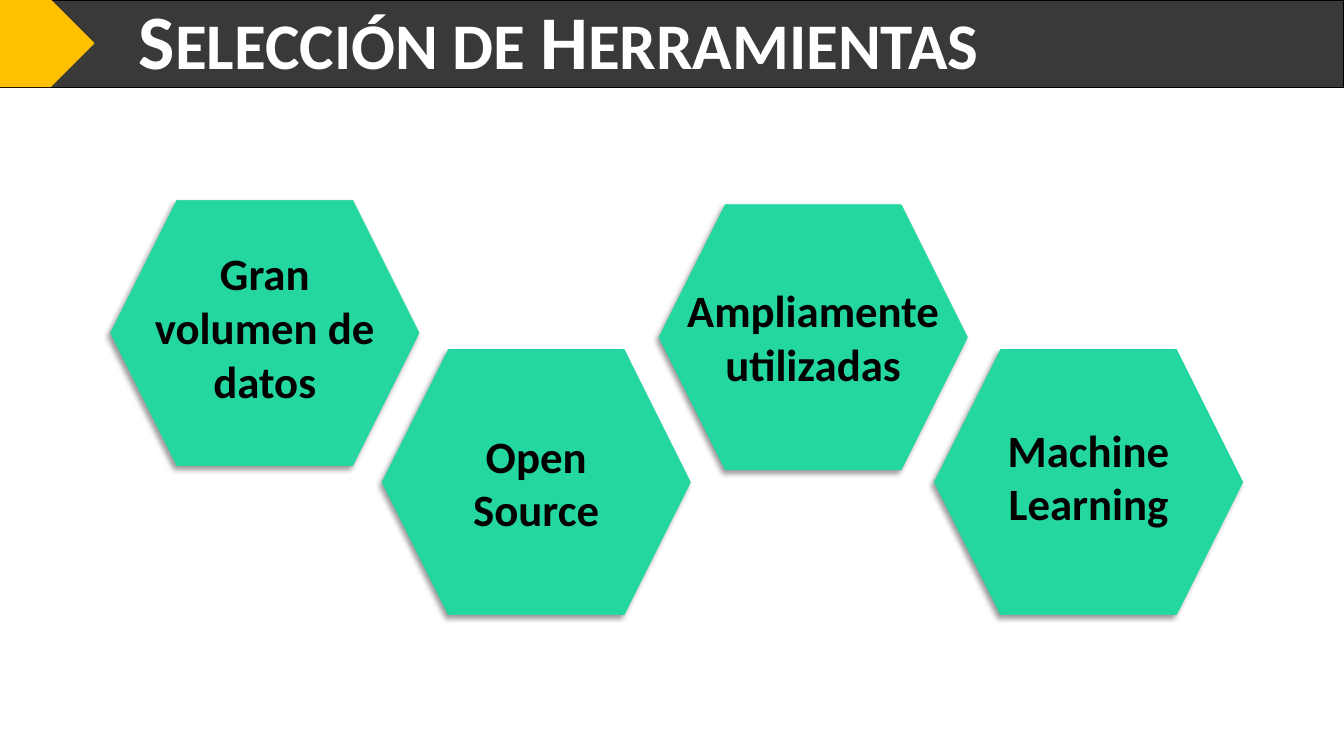
"""Build the slide on tool selection criteria."""
import pptx
import pptx.util
import pptx.dml.color
import pptx.enum.shapes
import pptx.enum.text
import pptx.oxml
import pptx.oxml.ns

Cm = pptx.util.Cm
Pt = pptx.util.Pt
MSO_SHAPE = pptx.enum.shapes.MSO_SHAPE
PP_ALIGN = pptx.enum.text.PP_ALIGN
MSO_ANCHOR = pptx.enum.text.MSO_ANCHOR
MSO_AUTO_SIZE = pptx.enum.text.MSO_AUTO_SIZE


def paint(s, fill, line, width):
    s.fill.solid()
    s.fill.fore_color.rgb = pptx.dml.color.RGBColor.from_string(fill)
    s.line.color.rgb = pptx.dml.color.RGBColor.from_string(line)
    s.line.width = Pt(width)


def add_run(p, text, size, color):
    r = p.add_run()
    r.text = text
    r.font.name = "Calibri"
    r.font.size = Pt(size)
    r.font.bold = True
    r.font.color.rgb = pptx.dml.color.RGBColor.from_string(color)


prs = pptx.Presentation()
prs.slide_width = Cm(33.87)
prs.slide_height = Cm(19.05)
slide = prs.slides.add_slide(prs.slide_layouts[5])

title = slide.shapes.title
title.left, title.top, title.width, title.height = Cm(0), Cm(0), Cm(33.87), Cm(2.2)
paint(title, "3B3838", "000000", 1)
tf = title.text_frame
tf.auto_size = MSO_AUTO_SIZE.NONE
tf.vertical_anchor = MSO_ANCHOR.BOTTOM
tf.margin_left, tf.margin_top = Cm(3.5), Cm(0.3)
tf.margin_right, tf.margin_bottom = Cm(0.25), Cm(0.13)
p = tf.paragraphs[0]
p.alignment = PP_ALIGN.LEFT
p.line_spacing = 0.7
for text, size in [("S", 55), ("ELECCIÓN DE ", 46.5), ("H", 54.2), ("ERRAMIENTAS", 46.5)]:
    add_run(p, text, size, "FFFFFF")

arrow = slide.shapes.add_shape(MSO_SHAPE.PENTAGON, Cm(0), Cm(0), Cm(2.36), Cm(2.18))
arrow.shadow.inherit = False
paint(arrow, "FFC000", "FFC000", 1)

HEX_W, HEX_H = 7.77, 6.68
SHADOW = (
    f'<a:outerShdw {pptx.oxml.ns.nsdecls("a")} blurRad="50800" dist="38100" dir="8100000" '
    'algn="tr" rotWithShape="0"><a:srgbClr val="000000"><a:alpha val="40000"/></a:srgbClr>'
    '</a:outerShdw>'
)
criteria = [
    (2.79, 5.05, 6.07, 6.3, 4.37, ["Gran volumen de datos"]),
    (9.63, 8.81, 10.67, 6.3, 3, ["Open", "Source"]),
    (16.61, 5.16, 7.01, 7.32, 3, ["Ampliamente utilizadas"]),
    (23.55, 8.81, 10.52, 6.3, 3, ["Machine Learning"]),
]
for left, top, text_top, text_w, text_h, lines in criteria:
    group = slide.shapes.add_group_shape()
    s = group.shapes.add_shape(MSO_SHAPE.HEXAGON, Cm(left), Cm(top), Cm(HEX_W), Cm(HEX_H))
    paint(s, "24D69F", "24D69F", 0.5)
    s.shadow.inherit = False
    effects = s.element.spPr.find(pptx.oxml.ns.qn("a:effectLst"))
    effects.append(pptx.oxml.parse_xml(SHADOW))

    text_left = left + (HEX_W - text_w) / 2
    box = group.shapes.add_textbox(Cm(text_left), Cm(text_top), Cm(text_w), Cm(text_h))
    tf = box.text_frame
    tf.word_wrap = True
    tf.auto_size = MSO_AUTO_SIZE.SHAPE_TO_FIT_TEXT
    for i, line in enumerate(lines):
        p = tf.add_paragraph() if i else tf.paragraphs[0]
        p.alignment = PP_ALIGN.CENTER
        add_run(p, line, 32, "000000")

prs.save("out.pptx")
